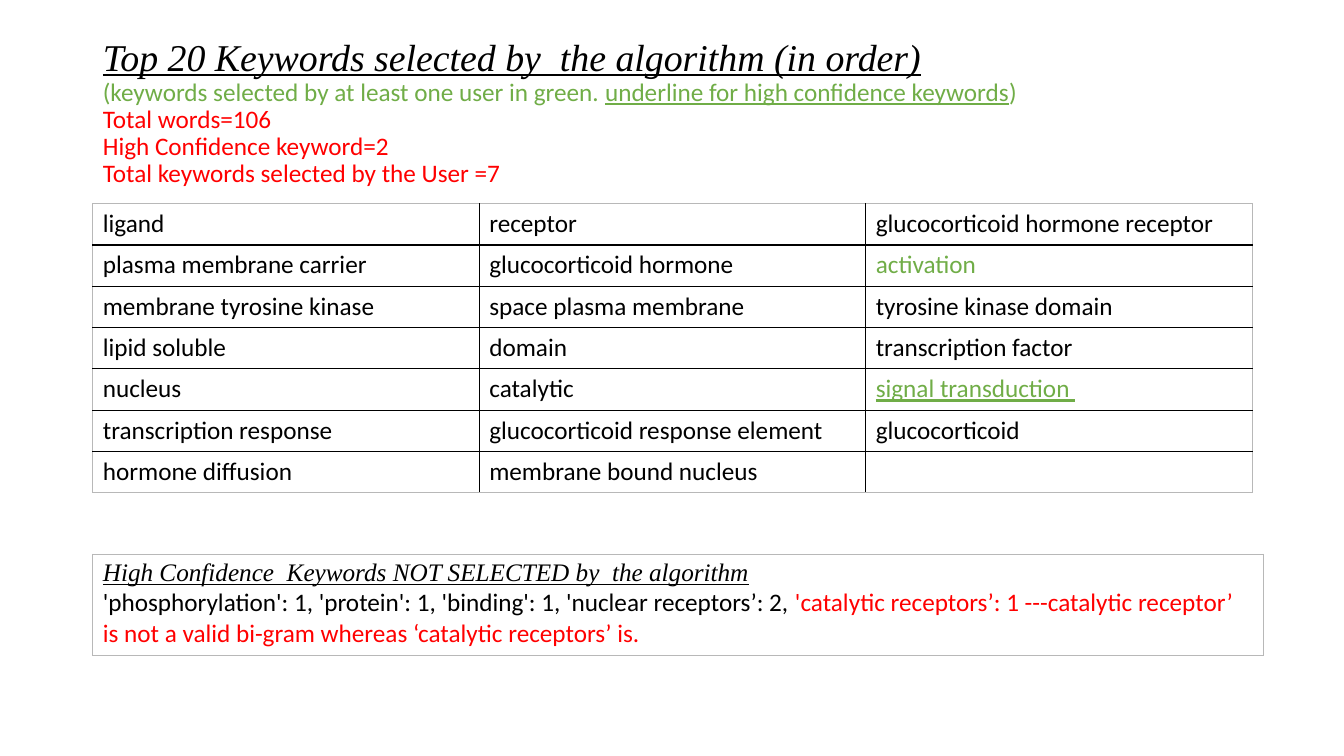
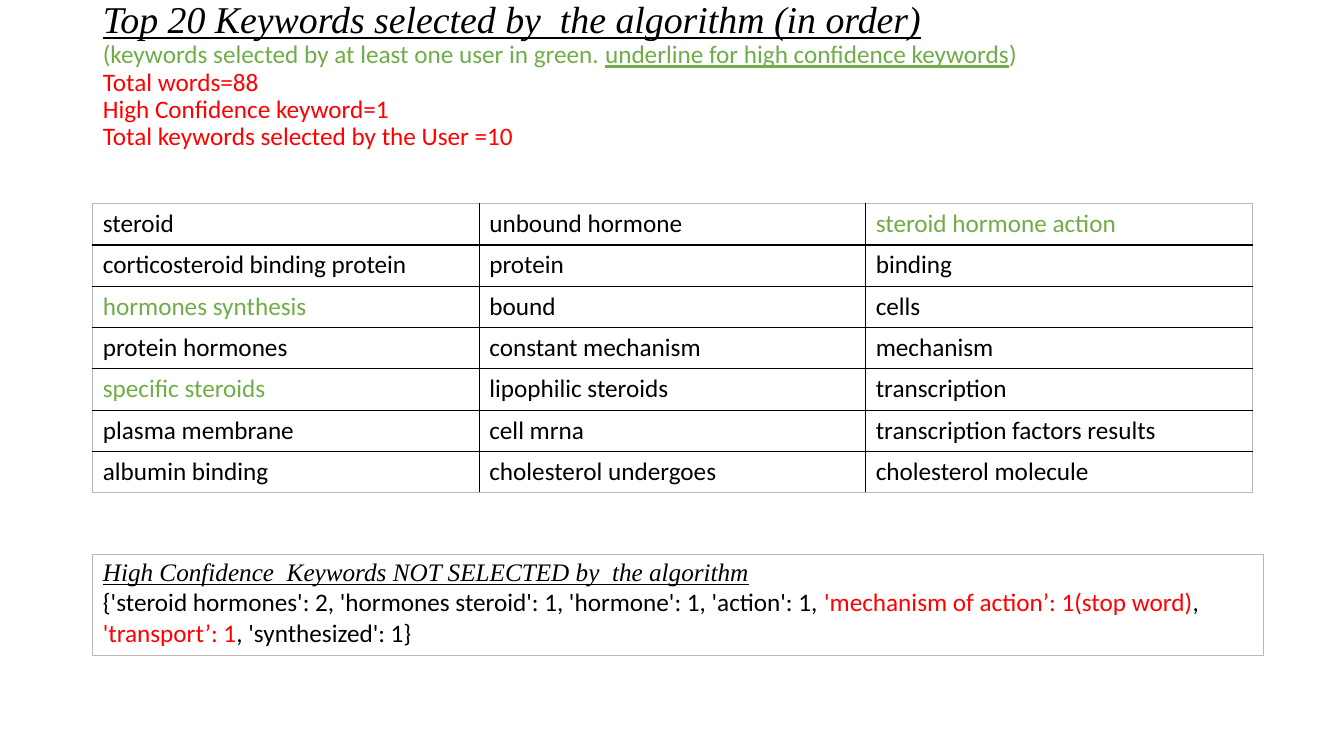
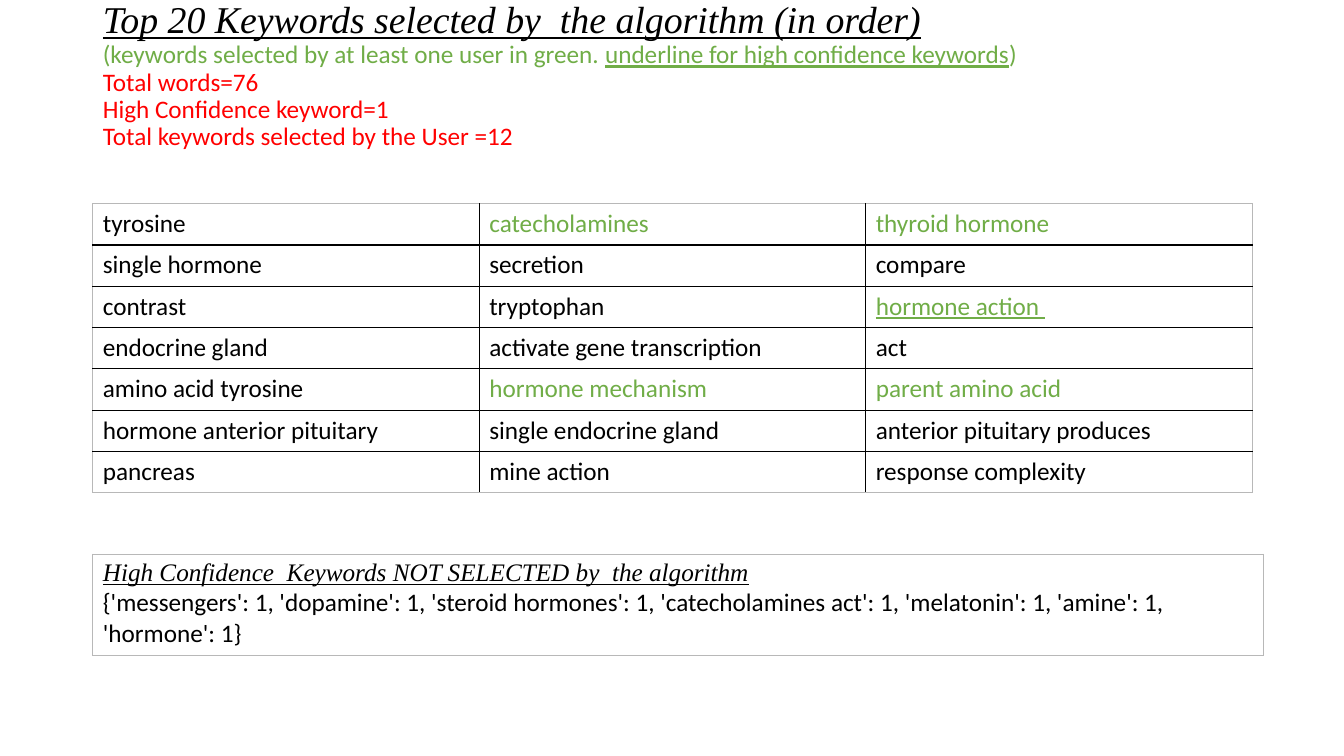
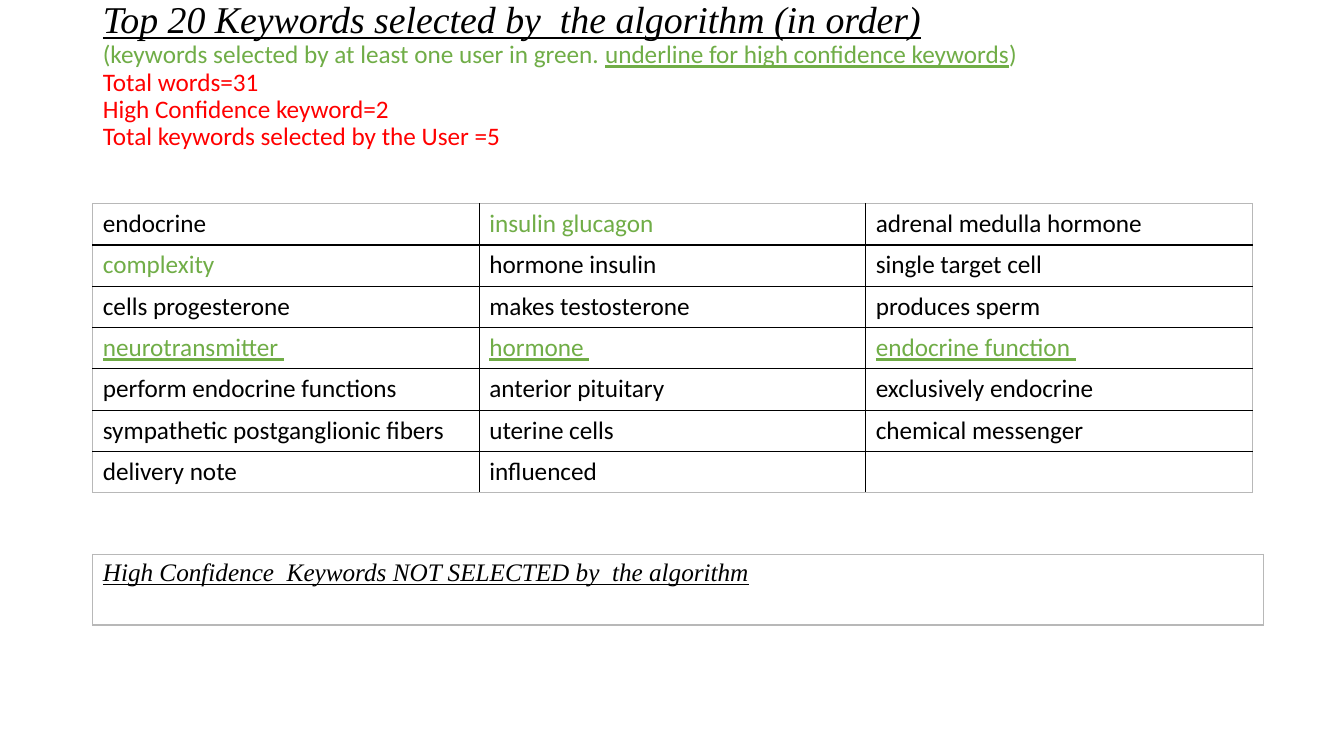
from pptx import Presentation
from pptx.dml.color import RGBColor
from pptx.enum.text import MSO_ANCHOR, MSO_AUTO_SIZE, PP_ALIGN
from pptx.oxml import parse_xml
from pptx.oxml.ns import nsdecls
from pptx.util import Inches, Pt

BLACK = RGBColor(0x00, 0x00, 0x00)
GREEN = RGBColor(0x70, 0xAD, 0x47)
RED = RGBColor(0xFF, 0x00, 0x00)
GRAY = RGBColor(0xB8, 0xB8, 0xB8)

BODY_FONT = "Calibri"
HEADING_FONT = "Times New Roman"
LEFT = Inches(0.92)
TABLE_WIDTH = Inches(11.5)
NOTE_WIDTH = Inches(11.61)
ROW_HEIGHT = Inches(0.41)

# One entry per slide; the missed keywords are (text, colour) spans
SLIDES = [
    {
        "counts": (106, 2, 7),
        "title_bottom_inset": 0.05,
        "rows": [
            ["ligand", "receptor", "glucocorticoid hormone receptor"],
            ["plasma membrane carrier", "glucocorticoid hormone", "activation"],
            ["membrane tyrosine kinase", "space plasma membrane", "tyrosine kinase domain"],
            ["lipid soluble", "domain", "transcription factor"],
            ["nucleus", "catalytic", "signal transduction "],
            ["transcription response", "glucocorticoid response element", "glucocorticoid"],
            ["hormone diffusion", "membrane bound nucleus", ""],
        ],
        "user_selected": {"activation"},
        "high_confidence": {"signal transduction "},
        "missed": [
            ("'phosphorylation': 1, 'protein': 1, 'binding': 1, 'nuclear receptors’: 2, ", BLACK),
            ("'catalytic receptors’: 1 ---catalytic receptor’ is not a valid bi-gram "
             "whereas ‘catalytic receptors’ is.", RED),
        ],
        "note_height": 1,
    },
    {
        "counts": (88, 1, 10),
        "title_bottom_inset": 0.79,
        "rows": [
            ["steroid", "unbound hormone", "steroid hormone action"],
            ["corticosteroid binding protein", "protein", "binding"],
            ["hormones synthesis", "bound", "cells"],
            ["protein hormones", "constant mechanism", "mechanism"],
            ["specific steroids", "lipophilic steroids", "transcription"],
            ["plasma membrane", "cell mrna", "transcription factors results"],
            ["albumin binding", "cholesterol undergoes", "cholesterol molecule"],
        ],
        "user_selected": {"steroid hormone action", "hormones synthesis", "specific steroids"},
        "high_confidence": set(),
        "missed": [
            ("{'steroid hormones': 2, 'hormones steroid': 1, 'hormone': 1, 'action': 1, ", BLACK),
            ("'mechanism of action’: 1(stop word)", RED),
            (", ", BLACK),
            ("'transport’: 1", RED),
            (", 'synthesized': 1}", BLACK),
        ],
        "note_height": 1,
    },
    {
        "counts": (76, 1, 12),
        "title_bottom_inset": 0.79,
        "rows": [
            ["tyrosine", "catecholamines", "thyroid hormone"],
            ["single hormone", "secretion", "compare"],
            ["contrast", "tryptophan", "hormone action "],
            ["endocrine gland", "activate gene transcription", "act"],
            ["amino acid tyrosine", "hormone mechanism", "parent amino acid"],
            ["hormone anterior pituitary", "single endocrine gland", "anterior pituitary produces"],
            ["pancreas", "mine action", "response complexity"],
        ],
        "user_selected": {"catecholamines", "thyroid hormone", "hormone mechanism",
                          "parent amino acid"},
        "high_confidence": {"hormone action "},
        "missed": [
            ("{'messengers': 1, 'dopamine': 1, 'steroid hormones': 1, 'catecholamines act': 1, "
             "'melatonin': 1, 'amine': 1, 'hormone': 1}", BLACK),
        ],
        "note_height": 1,
    },
    {
        "counts": (31, 2, 5),
        "title_bottom_inset": 0.79,
        "rows": [
            ["endocrine", "insulin glucagon", "adrenal medulla hormone"],
            ["complexity", "hormone insulin", "single target cell"],
            ["cells progesterone", "makes testosterone", "produces sperm"],
            ["neurotransmitter ", "hormone ", "endocrine function "],
            ["perform endocrine functions", "anterior pituitary", "exclusively endocrine"],
            ["sympathetic postganglionic fibers", "uterine cells", "chemical messenger"],
            ["delivery note", "influenced", ""],
        ],
        "user_selected": {"insulin glucagon", "complexity"},
        "high_confidence": {"neurotransmitter ", "hormone ", "endocrine function "},
        "missed": [],
        "note_height": 0.7,
    },
]


def add_span(paragraph, text, color=BLACK, underline=False, size=18, heading=False):
    """Add one formatted run; headings are underlined serif italics."""
    span = paragraph.add_run()
    span.text = text
    span.font.size = Pt(size)
    span.font.name = HEADING_FONT if heading else BODY_FONT
    span.font.italic = heading
    span.font.underline = underline or heading
    span.font.color.rgb = color


def add_grid(page, row_count, column_count, top, width, row_height):
    """Add an unfilled table with black inner and gray outer lines."""
    grid = page.shapes.add_table(row_count, column_count, LEFT, top, width,
                                 row_height * row_count).table
    grid.first_row = grid.horz_banding = False
    for r in range(row_count):
        for c in range(column_count):
            cell = grid.cell(r, c)
            on_edge = {"lnL": c == 0, "lnR": c == column_count - 1,
                       "lnT": r == 0, "lnB": r == row_count - 1}
            for side, outer in on_edge.items():
                cell._tc.get_or_add_tcPr().append(parse_xml(
                    f'<a:{side} {nsdecls("a")} w="12700"><a:solidFill>'
                    f'<a:srgbClr val="{GRAY if outer else BLACK}"/>'
                    f'</a:solidFill></a:{side}>'))
            cell.fill.background()
    return grid


deck = Presentation()
deck.slide_width, deck.slide_height = Inches(13.33), Inches(7.5)

for content in SLIDES:
    page = deck.slides.add_slide(deck.slide_layouts[5])

    # Title with legend and counts
    title = page.shapes.title
    title.left, title.top = LEFT, Inches(0.4)
    title.width, title.height = TABLE_WIDTH, Inches(1.45)
    frame = title.text_frame
    frame.word_wrap = True
    frame.auto_size = MSO_AUTO_SIZE.NONE
    frame.vertical_anchor = MSO_ANCHOR.MIDDLE
    frame.margin_bottom = Inches(content["title_bottom_inset"])
    add_span(frame.paragraphs[0], "Top 20 Keywords selected by  the algorithm (in order)",
             size=27, heading=True)
    legend = frame.add_paragraph()
    add_span(legend, "(keywords selected by at least one user in green. ", GREEN)
    add_span(legend, "underline for high confidence keywords", GREEN, underline=True)
    add_span(legend, ")", GREEN)
    labels = ("Total words=", "High Confidence keyword=", "Total keywords selected by the User =")
    for label, count in zip(labels, content["counts"]):
        add_span(frame.add_paragraph(), f"{label}{count}", RED)
    for paragraph in frame.paragraphs:
        paragraph.alignment = PP_ALIGN.LEFT
        paragraph.line_spacing = 0.9
        paragraph.space_before = Pt(0)

    # Keyword table
    rows = content["rows"]
    keywords = add_grid(page, len(rows), len(rows[0]), Inches(2.02), TABLE_WIDTH, ROW_HEIGHT)
    for r, row in enumerate(rows):
        for c, word in enumerate(row):
            if not word:
                continue
            confident = word in content["high_confidence"]
            color = GREEN if confident or word in content["user_selected"] else BLACK
            add_span(keywords.cell(r, c).text_frame.paragraphs[0], word, color, confident)

    # Keywords the algorithm missed
    note = add_grid(page, 1, 1, Inches(5.5), NOTE_WIDTH, Inches(content["note_height"]))
    frame = note.cell(0, 0).text_frame
    add_span(frame.paragraphs[0], "High Confidence  Keywords NOT SELECTED by  the algorithm",
             heading=True)
    if content["missed"]:
        paragraph = frame.add_paragraph()
        for text, color in content["missed"]:
            add_span(paragraph, text, color)

deck.save("out.pptx")
